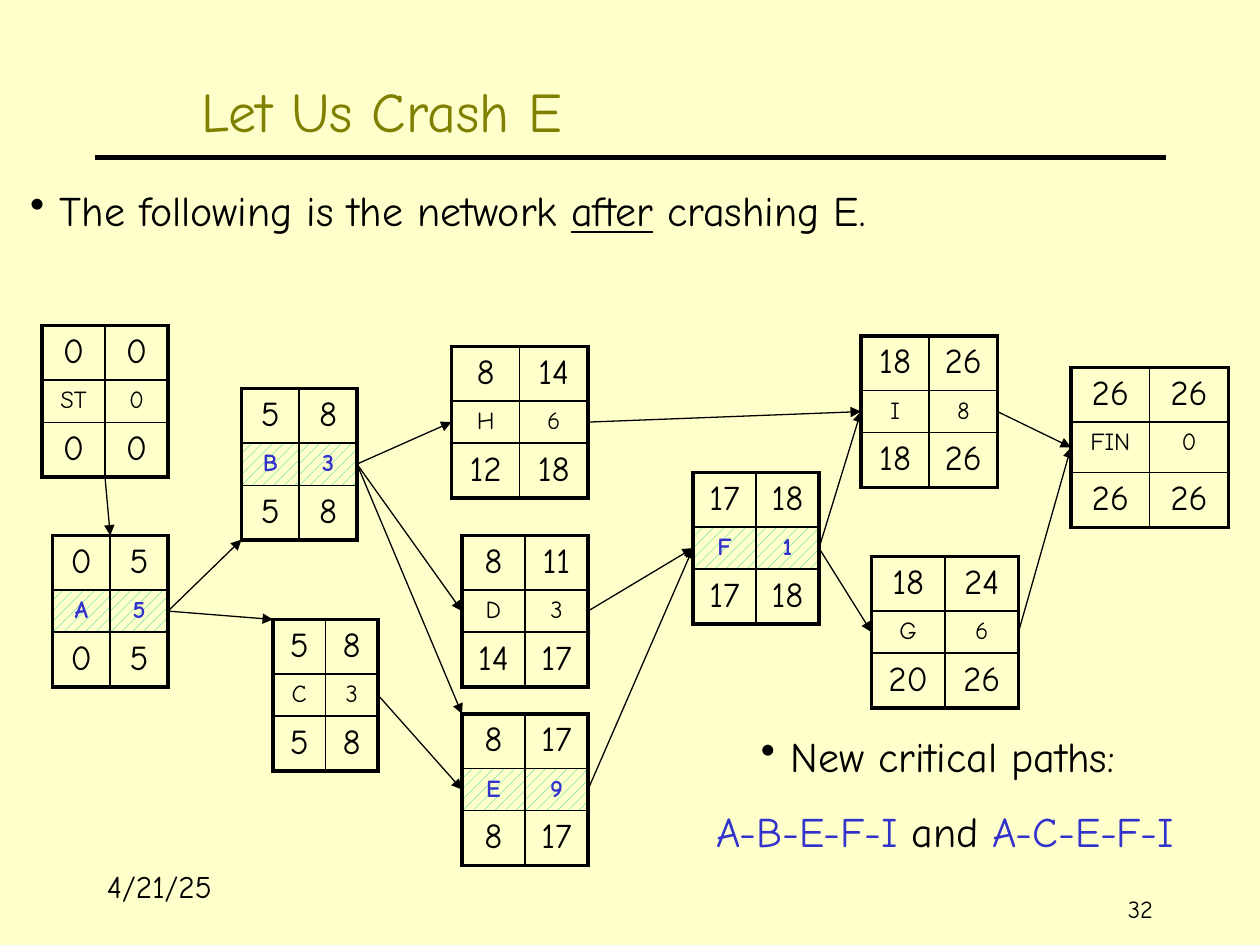
from lxml import etree
from pptx import Presentation
from pptx.dml.color import RGBColor
from pptx.enum.dml import MSO_PATTERN
from pptx.enum.shapes import MSO_CONNECTOR
from pptx.enum.text import MSO_ANCHOR, PP_ALIGN
from pptx.oxml.ns import qn
from pptx.util import Pt

PX = 7620  # 120 px to the inch
FONT = "Comic Neue"
COLORS = {"ink": "000000", "page": "FFFFCC", "title": "808000",
          "crit": "3333CC", "hatch": "00CC99"}
LEFT, CENTER, RIGHT = PP_ALIGN.LEFT, PP_ALIGN.CENTER, PP_ALIGN.RIGHT
TOP, MIDDLE = MSO_ANCHOR.TOP, MSO_ANCHOR.MIDDLE
STRAIGHT = MSO_CONNECTOR.STRAIGHT
DOTS = MSO_PATTERN.PERCENT_20
INDENT = 28
THICK, THIN = 2.25, 1

# name: (x, y, width, middle row, critical, early times, duration, late times)
NODES = {
    "ST": (40, 310, 120, 40, False, (0, 0), 0, (0, 0)),
    "A": (50, 510, 110, 40, True, (0, 5), 5, (0, 5)),
    "C": (260, 590, 100, 40, False, (5, 8), 3, (5, 8)),
    "B": (230, 370, 110, 40, True, (5, 8), 3, (5, 8)),
    "E": (440, 680, 120, 40, True, (8, 17), 9, (8, 17)),
    "D": (440, 510, 120, 40, False, (8, 11), 3, (14, 17)),
    "H": (430, 330, 130, 40, False, (8, 14), 6, (12, 18)),
    "F": (660, 450, 120, 40, True, (17, 18), 1, (17, 18)),
    "G": (830, 530, 140, 40, False, (18, 24), 6, (20, 26)),
    "I": (820, 320, 130, 40, False, (18, 26), 8, (18, 26)),
    "FIN": (1020, 350, 150, 48, False, (26, 26), 0, (26, 26)),
}
OUTER = 50  # height of the top and bottom rows
SLACK = 4   # room the frame leaves below its rows

# points on a node, as shares of its width and height
WEST, EAST, NORTH, SOUTH = (0, 0.5), (1, 0.5), (0.5, 0), (0.5, 1)
NW, SW = (0, 0), (0, 1)
LINKS = [
    ("ST", "A", SOUTH, NORTH), ("A", "B", EAST, SW), ("A", "C", EAST, NW),
    ("B", "H", EAST, WEST), ("B", "D", EAST, WEST), ("B", "E", EAST, NW),
    ("C", "E", EAST, WEST), ("H", "I", EAST, WEST), ("D", "F", EAST, WEST),
    ("E", "F", EAST, WEST), ("F", "I", EAST, WEST), ("F", "G", EAST, WEST),
    ("I", "FIN", EAST, WEST), ("G", "FIN", EAST, WEST),
]


def px(*sizes):
    return [round(size * PX) for size in sizes]


def rgb(name):
    return RGBColor.from_string(COLORS[name])


def put(para, text, size=24, color="ink", bold=False, under=False,
        align=LEFT, bullet=False, before=0):
    """Add a run to a paragraph and set the format of both."""
    if bullet:
        props = para._p.get_or_add_pPr()
        props.set("marL", str(INDENT * PX))
        props.set("indent", str(-INDENT * PX))
        etree.SubElement(props, qn("a:buChar")).set("char", "•")
    para.alignment = align
    if before:
        para.space_before = Pt(before)
    run = para.add_run()
    run.text = text
    font = run.font
    font.name, font.size, font.bold = FONT, Pt(size), bold
    font.underline = under
    font.color.rgb = rgb(color)


def frame(slide, box, anchor=TOP):
    text = slide.shapes.add_textbox(*px(*box)).text_frame
    text.word_wrap = True
    text.vertical_anchor = anchor
    return text


def line(slide, start, end, width, arrow=False):
    link = slide.shapes.add_connector(STRAIGHT, *px(*start, *end))
    link.line.color.rgb = rgb("ink")
    link.line.width = Pt(width)
    if arrow:
        etree.SubElement(link.line._ln, qn("a:tailEnd")).set("type", "triangle")
    etree.SubElement(link._element.spPr, qn("a:effectLst"))


def edge(cell, side, width):
    ln = etree.SubElement(cell._tc.get_or_add_tcPr(), qn(f"a:ln{side}"))
    ln.set("w", str(Pt(width)))
    fill = etree.SubElement(ln, qn("a:solidFill"))
    etree.SubElement(fill, qn("a:srgbClr")).set("val", COLORS["ink"])


def shade(cell, hot):
    if not hot:
        cell.fill.background()
        return
    cell.fill.patterned()
    cell.fill.pattern = DOTS
    cell.fill.fore_color.rgb = rgb("hatch")
    cell.fill.back_color.rgb = rgb("page")


def node(slide, name):
    """Draw one activity: early times, name and duration, late times."""
    x, y, width, mid, crit, early, days, late = NODES[name]
    tall = 2 * OUTER + mid + SLACK
    shape = slide.shapes.add_table(3, 2, *px(x, y, width, tall))
    table = shape.table
    table.first_row = table.horz_banding = False
    for row, height in zip(table.rows, px(OUTER, mid, OUTER)):
        row.height = height
    shape.height = tall * PX
    for r, values in enumerate((early, (name, days), late)):
        hot = crit and r == 1
        for c, value in enumerate(values):
            cell = table.cell(r, c)
            outer = {"L": c == 0, "R": c == 1, "T": r == 0, "B": r == 2}
            for side, out in outer.items():
                edge(cell, side, THICK if out else THIN)
            shade(cell, hot)
            put(cell.text_frame.paragraphs[0], str(value),
                size=14 if r == 1 else 20, bold=hot,
                color="crit" if hot else "ink", align=CENTER)


def point(name, share):
    x, y, width, mid = NODES[name][:4]
    tall = 2 * OUTER + mid + SLACK
    return x + share[0] * width, y + share[1] * tall


def network(slide):
    for name in NODES:
        node(slide, name)
    for tail, head, start, end in LINKS:
        line(slide, point(tail, start), point(head, end), 0.75, arrow=True)


def header(slide, box):
    x, y, width, height = box
    line(slide, (90, y + 120), (1110, y + 120), 3)
    text = frame(slide, (x, y, width, height), MIDDLE)
    put(text.paragraphs[0], "Let Us Crash E", size=32, color="title")


def footer(slide, box):
    x, y, width, height = box
    part = 250
    date = frame(slide, (x, y, part, height))
    put(date.paragraphs[0], "4/21/25", size=18)
    page = frame(slide, (x + width - part, y, part, height))
    page.margin_top, page.margin_bottom = px(34, 0)
    put(page.paragraphs[0], "32", size=14, align=RIGHT)


def intro(slide, box):
    para = frame(slide, box).paragraphs[0]
    put(para, "The following is the network ", bullet=True)
    put(para, "after", under=True)
    put(para, " crashing E.")


def result(slide, box):
    text = frame(slide, box)
    put(text.paragraphs[0], "New critical paths: ", align=CENTER, bullet=True)
    para = text.add_paragraph()
    for words, color in (("A-B-E-F-I ", "crit"), ("and", "ink"),
                         (" A-C-E-F-I", "crit")):
        put(para, words, color=color, align=CENTER, before=14)


def main():
    deck = Presentation()
    deck.slide_width, deck.slide_height = px(1200, 900)
    slide = deck.slides.add_slide(deck.slide_layouts[6])
    slide.background.fill.solid()
    slide.background.fill.fore_color.rgb = rgb("page")
    header(slide, (180, 30, 1020, 150))
    footer(slide, (90, 820, 1020, 60))
    network(slide)
    intro(slide, (17, 170, 898, 60))
    result(slide, (600, 690, 600, 132))
    deck.save("out.pptx")


if __name__ == "__main__":
    main()
